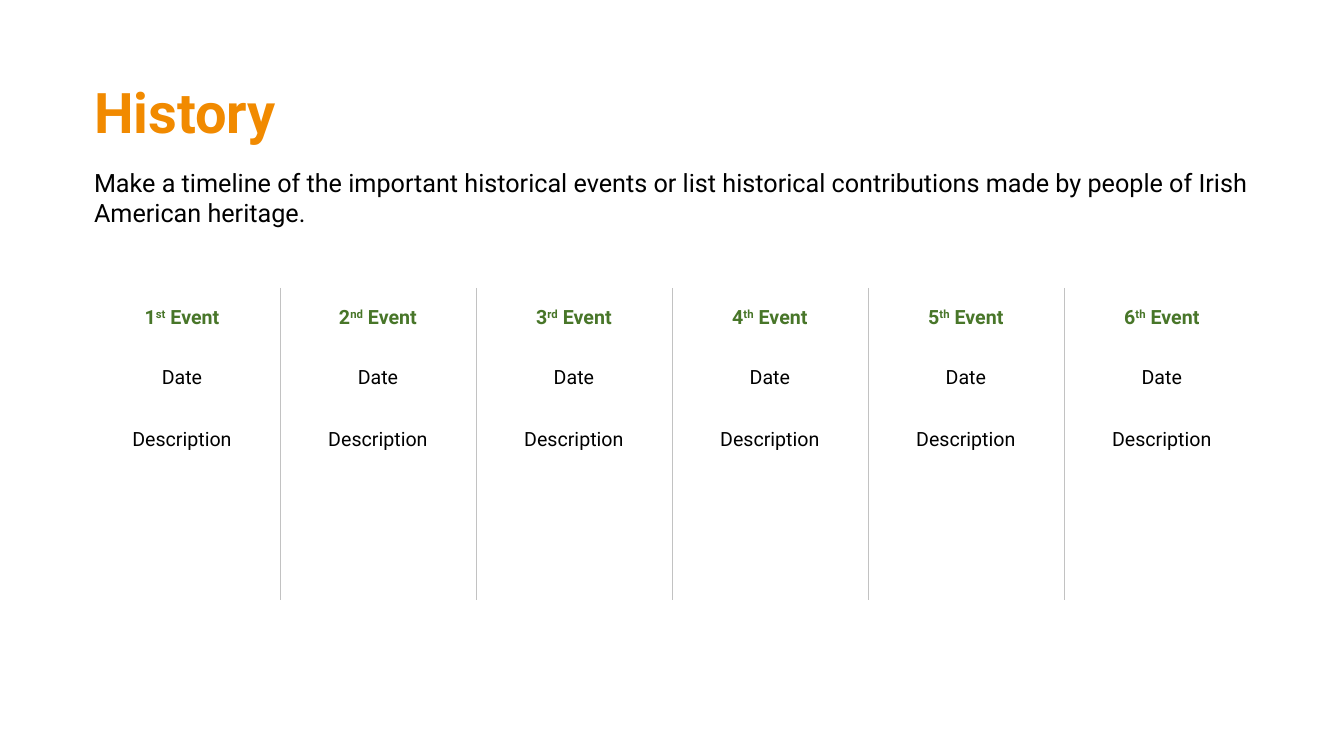
import pptx
import pptx.dml.color
import pptx.enum.text
import pptx.oxml
import pptx.oxml.ns
import pptx.util

RGB = pptx.dml.color.RGBColor
ALIGN = pptx.enum.text.PP_ALIGN
ANCHOR = pptx.enum.text.MSO_ANCHOR

ORANGE = RGB(0xF1, 0x8A, 0x00)
GREEN = RGB(0x48, 0x76, 0x29)
BLACK = RGB(0x00, 0x00, 0x00)
GREY = RGB(0xC2, 0xC2, 0xC2)

FONT = "Roboto"
SCALE = 914400 / 100.8
ORDERS = ["st", "nd", "rd", "th", "th", "th"]
ROWS = [60, 60, 192]
NO_STYLE = "{2D5ABB26-0587-4C30-8999-92F81FD0307C}"


def px(n):
    """Turn pixels into EMU."""
    return pptx.util.Emu(round(n * SCALE))


def write(frame, *parts, size=14, color=BLACK, bold=False, align=ALIGN.LEFT,
          line=None, raised=None):
    """Write the parts as runs of one paragraph, raising the one at index raised."""
    para = frame.paragraphs[0]
    para.alignment = align
    if line:
        para.line_spacing = line
    for i, part in enumerate(parts):
        run = para.add_run()
        run.text = part
        run.font.name = FONT
        run.font.size = pptx.util.Pt(size)
        run.font.bold = bold
        run.font.color.rgb = color
        if i == raised:
            run._r.get_or_add_rPr().set("baseline", "30000")


def add_box(slide, box, text, pad=5, anchor=ANCHOR.TOP, **style):
    """Add a wrapping text box with the given vertical inset."""
    frame = slide.shapes.add_textbox(*map(px, box)).text_frame
    frame.word_wrap = True
    frame.margin_left = frame.margin_right = px(10)
    frame.margin_top = frame.margin_bottom = px(pad)
    frame.vertical_anchor = anchor
    write(frame, text, **style)


def add_edge(cell, side):
    """Draw a thin grey border on one side of a cell."""
    edge = pptx.oxml.parse_xml(
        f'<a:{side} {pptx.oxml.ns.nsdecls("a")} w="6350"><a:solidFill>'
        f'<a:srgbClr val="{GREY}"/></a:solidFill></a:{side}>')
    cell._tc.get_or_add_tcPr().insert(0, edge)


def add_head(slide, box):
    """Add the title and the task below it."""
    x, y, w, h = box
    add_box(slide, (x, y, w, 72), "History", anchor=ANCHOR.MIDDLE,
            size=40, color=ORANGE, bold=True, line=0.9)
    add_box(slide, (x, y + 88, w, h - 88),
            "Make a timeline of the important historical events\u00a0or list historical "
            "contributions made by people of Irish American heritage.", pad=0, size=18)


def add_events(slide, box):
    """Add the table of events, one column each."""
    count = len(ORDERS)
    table = slide.shapes.add_table(len(ROWS), count, *map(px, box)).table
    table.first_row = table.horz_banding = False
    table._tbl.tblPr.find(pptx.oxml.ns.qn("a:tableStyleId")).text = NO_STYLE
    for row, high in zip(table.rows, ROWS):
        row.height = px(high)
    for col, order in enumerate(ORDERS):
        table.columns[col].width = px(box[2] / count)
        cells = [table.cell(row, col) for row in range(len(ROWS))]
        for cell in cells:
            cell.fill.background()
            cell.vertical_anchor = ANCHOR.MIDDLE
            if col < count - 1:
                add_edge(cell, "lnR")
            if col > 0:
                add_edge(cell, "lnL")
        event, date, about = cells
        about.vertical_anchor = ANCHOR.TOP
        about.margin_top = px(20)
        write(event.text_frame, str(col + 1), order, " Event", color=GREEN,
              bold=True, align=ALIGN.CENTER, raised=1)
        write(date.text_frame, "Date", align=ALIGN.CENTER)
        write(about.text_frame, "Description", align=ALIGN.CENTER)


def main():
    """Build the history slide and save it."""
    deck = pptx.Presentation()
    deck.slide_width, deck.slide_height = px(1344), px(756)
    slide = deck.slides.add_slide(deck.slide_layouts[6])
    add_head(slide, (84, 79, 1176, 210))
    add_events(slide, (84, 288, 1176, sum(ROWS)))
    deck.save("out.pptx")


if __name__ == "__main__":
    main()
